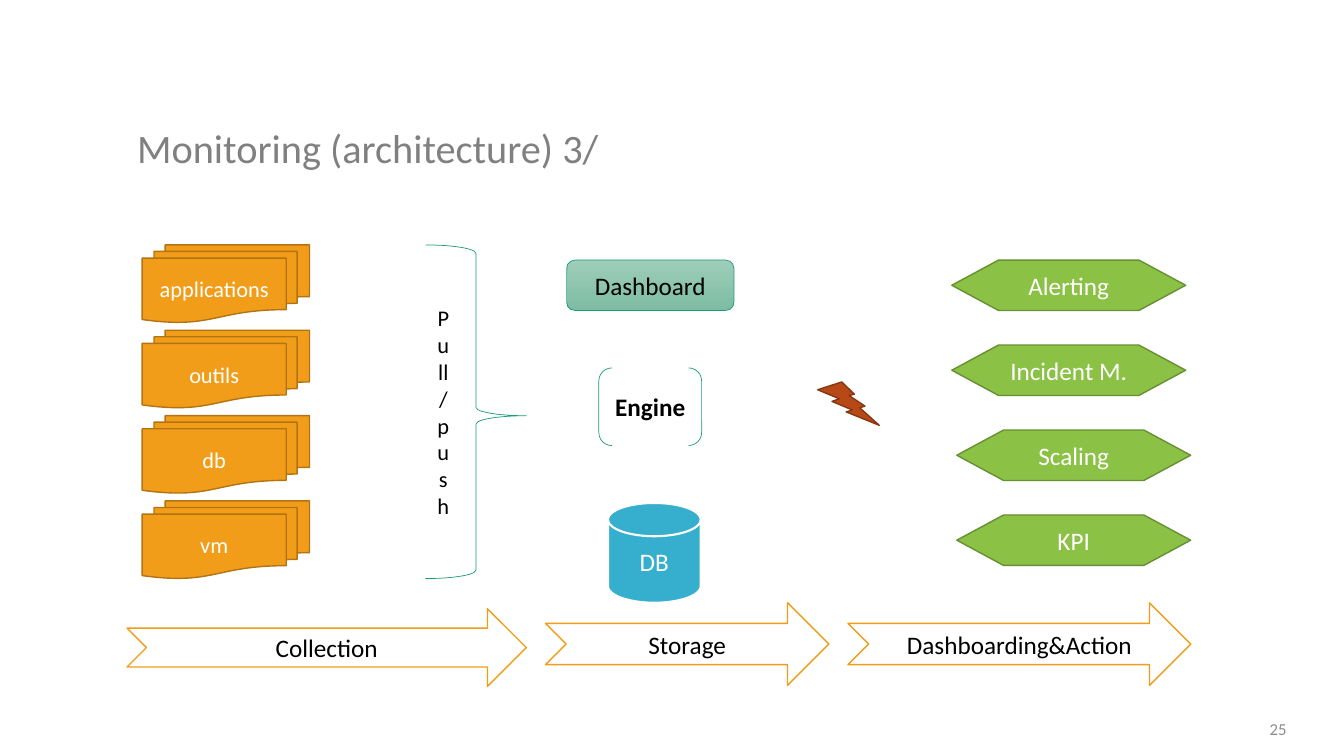
"""Build the monitoring architecture slide."""
from pptx import Presentation
from pptx.dml.color import RGBColor
from pptx.enum.shapes import MSO_SHAPE as Preset
from pptx.enum.text import MSO_ANCHOR as Anchor, MSO_AUTO_SIZE as AutoSize, PP_ALIGN as Align
from pptx.util import Inches, Pt

WIDTH, HEIGHT = Inches(13.33), Inches(7.5)
FONT = "Calibri"
COLORS = {
    "title": "808080", "number": "8C8C8C", "black": "000000", "white": "FFFFFF",
    "orange": "F19D19", "dark_orange": "B27412", "green": "8BC145",
    "dark_green": "678F33", "teal": "1D9A78", "pale_teal": "9ECDBA",
    "soft_teal": "7DBCA3", "blue": "36AFCE", "rust": "B74919", "dark_rust": "873612",
}


def color(name):
    """Return the named colour."""
    return RGBColor.from_string(COLORS[name])


def area(left, top, width, height):
    """Turn percentages of the slide into lengths."""
    return (int(WIDTH * left / 100), int(HEIGHT * top / 100),
            int(WIDTH * width / 100), int(HEIGHT * height / 100))


def write(shape, text, size, ink, align=Align.CENTER, bold=False):
    """Put one formatted paragraph in a shape and return it."""
    shape.text_frame.text = text
    paragraph = shape.text_frame.paragraphs[0]
    paragraph.alignment = align
    font = paragraph.runs[0].font
    font.name, font.size, font.bold = FONT, Pt(size), bold
    font.color.rgb = color(ink)
    return paragraph


def add_preset(slide, preset, place, fill, line, weight=1.0):
    """Add a preset shape with a fill, if any, and an outline."""
    shape = slide.shapes.add_shape(preset, *area(*place))
    shape.shadow.inherit = False
    if fill:
        shape.fill.solid()
        shape.fill.fore_color.rgb = color(fill)
    else:
        shape.fill.background()
    shape.line.color.rgb = color(line)
    shape.line.width = Pt(weight)
    return shape


def add_title(slide, text):
    """Fill and place the title placeholder."""
    title = slide.shapes.title
    title.left, title.top, title.width, title.height = area(9.45, 11.2, 87, 10.27)
    paragraph = write(title, text, 28.8, "title", Align.JUSTIFY)
    paragraph.line_spacing = 2.0
    title.text_frame.vertical_anchor = Anchor.MIDDLE
    title.text_frame.auto_size = AutoSize.NONE


def add_number(slide, text):
    """Add the slide number."""
    box = slide.shapes.add_textbox(*area(73.97, 94.67, 22.5, 5.33))
    box.text_frame.word_wrap = True
    write(box, text, 12, "number", Align.RIGHT).line_spacing = 0.9


def add_sources(slide, names):
    """Stack the monitored sources and gather them with a brace."""
    for row, name in enumerate(names):
        place = (10.58, 32.4 + 11.29 * row, 12.45, 10.27)
        shape = add_preset(slide, Preset.FLOWCHART_MULTIDOCUMENT, place,
                           "orange", "dark_orange")
        write(shape, name, 16, "white")
    brace = add_preset(slide, Preset.RIGHT_BRACE, (31.66, 32.4, 7.5, 44.13),
                       None, "teal", 0.5)
    brace.adjustments[0], brace.adjustments[1] = 0.083, 0.512
    write(brace, "Pull/push", 16, "black")


def add_platform(slide):
    """Add the dashboard, the engine, the database and the trigger bolt."""
    dashboard = add_preset(slide, Preset.ROUNDED_RECTANGLE, (42.16, 34.4, 12.45, 6.67),
                           None, "teal", 0.5)
    dashboard.fill.gradient()
    dashboard.fill.gradient_angle = 270
    for stop, name in zip(dashboard.fill.gradient_stops, ("pale_teal", "soft_teal")):
        stop.color.rgb = color(name)
    write(dashboard, "Dashboard", 18, "black")
    engine = add_preset(slide, Preset.DOUBLE_BRACKET, (44.56, 48.67, 7.65, 10.27),
                        None, "teal", 0.5)
    write(engine, "Engine", 18, "black", bold=True)
    database = add_preset(slide, Preset.FLOWCHART_MAGNETIC_DISK, (45.24, 66.53, 6.9, 13.2),
                          "blue", "white", 1.5)
    write(database, "DB", 18, "white")
    add_preset(slide, Preset.LIGHTNING_BOLT, (60.84, 50.53, 4.58, 5.73),
               "rust", "dark_rust")


def add_actions(slide, actions):
    """Stack the actions, each with its own left edge."""
    for row, (name, left) in enumerate(actions):
        place = (left, 34.4 + 11.24 * row, 17.4, 6.67)
        shape = add_preset(slide, Preset.FLOWCHART_PREPARATION, place,
                           "green", "dark_green")
        write(shape, name, 18, "white")


def add_stages(slide, stages):
    """Add the notched arrows that name the stages."""
    for name, place in stages:
        arrow = add_preset(slide, Preset.NOTCHED_RIGHT_ARROW, place, "white", "orange")
        write(arrow, name, 18, "black")


def main():
    """Build and save the presentation."""
    presentation = Presentation()
    presentation.slide_width, presentation.slide_height = WIDTH, HEIGHT
    slide = presentation.slides.add_slide(presentation.slide_layouts[5])
    add_title(slide, "Monitoring (architecture) 3/")
    add_number(slide, "25")
    add_platform(slide)
    add_sources(slide, ("applications", "outils", "db", "vm"))
    add_actions(slide, (("Alerting", 70.82), ("Incident M.", 70.82),
                        ("Scaling", 71.19), ("KPI", 71.19)))
    add_stages(slide, (("Collection", (9.45, 80.53, 29.71, 10.27)),
                       ("Storage", (40.59, 79.73, 21.08, 10.93)),
                       ("Dashboarding&Action", (63.09, 79.73, 25.51, 10.93))))
    presentation.save("out.pptx")


if __name__ == "__main__":
    main()
